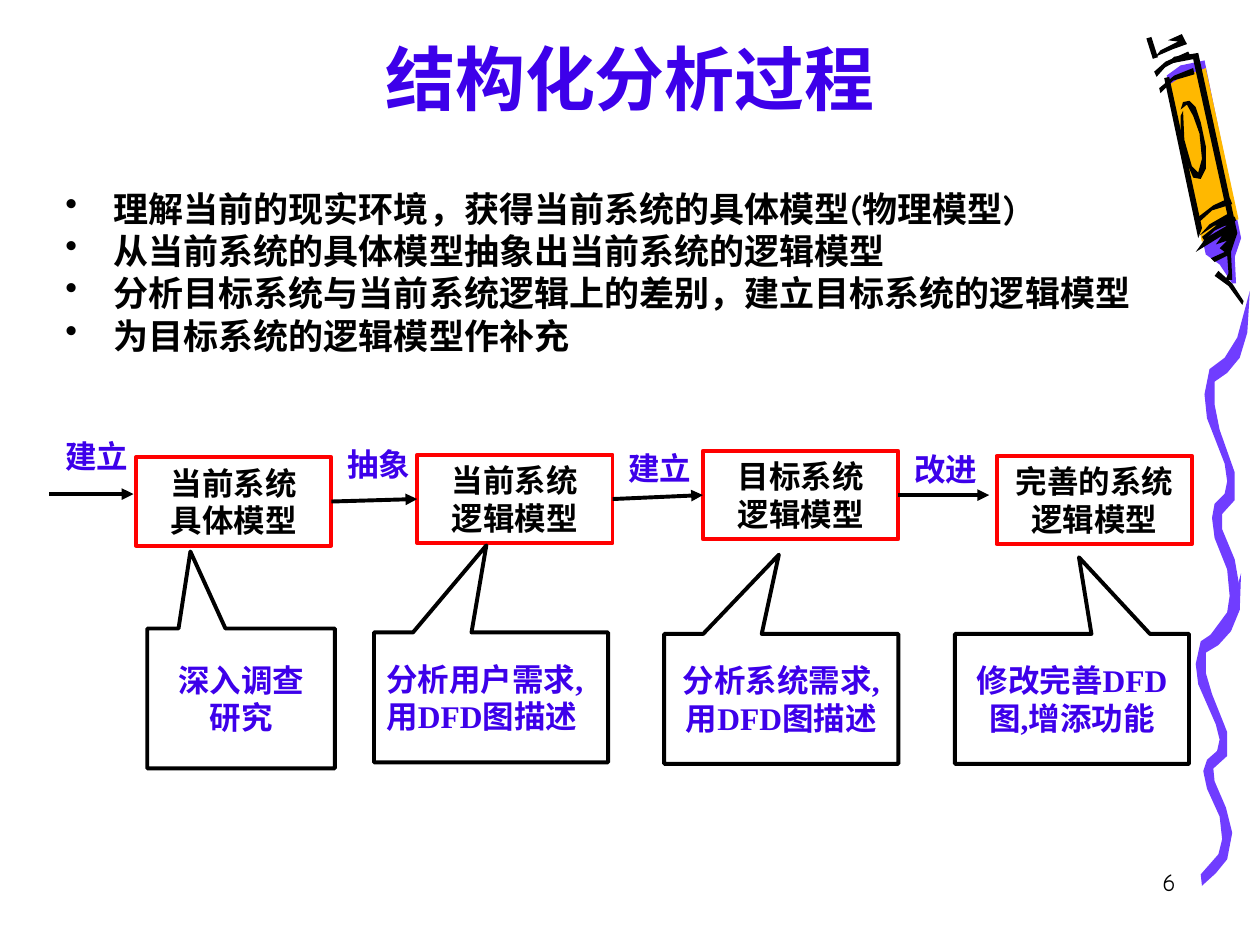
from typing import NamedTuple, Optional

from lxml.etree import SubElement
from pptx import Presentation
from pptx.dml.color import RGBColor
from pptx.enum.shapes import MSO_CONNECTOR as Connector, MSO_SHAPE as Shape
from pptx.enum.text import MSO_ANCHOR as Anchor, PP_ALIGN as Align
from pptx.oxml.ns import qn
from pptx.util import Cm, Pt

BLACK = RGBColor(0x00, 0x00, 0x00)
WHITE = RGBColor(0xFF, 0xFF, 0xFF)
RED = RGBColor(0xFF, 0x00, 0x00)
BLUE = RGBColor(0x3D, 0x00, 0xEA)
PURPLE = RGBColor(0x70, 0x3D, 0xFF)
ORANGE = RGBColor(0xFF, 0xB8, 0x00)
HEADING_FONT = "Comic Neue"
DIAGRAM_FONT = "Times New Roman"
OUTLINE_UNIT = Cm(2.54) / 100


class Outline(NamedTuple):
    color: RGBColor
    points: str


class Style(NamedTuple):
    size: float
    font: str
    color: RGBColor
    bold: bool = True
    align: Align = Align.CENTER
    anchor: Anchor = Anchor.TOP


class Stage(NamedTuple):
    text: str
    left: float
    top: float


class Label(NamedTuple):
    text: str
    left: float
    top: float
    width: float


class Callout(NamedTuple):
    text: str
    left: float
    top: float
    width: float
    height: float
    tip: tuple[float, float]
    align: Align = Align.CENTER


SQUIGGLE = (
    "953,694 967,678 970,666 968,648 958,626 955,612 958,603 966,596 968,587 965,575 951,543 "
    "949,527 953,509 965,501 976,487 985,455 984,484 977,501 967,512 957,518 957,534 962,551 "
    "974,581 974,600 963,610 964,620 973,641 978,661 974,682 965,693 954,703"
)
CRAYON = [
    Outline(WHITE, "950,44 930,47 919,57 949,197 962,207 972,220 976,219 975,198 979,185"),
    Outline(PURPLE, "926,60 957,202 968,210 978,225 981,225 980,204 985,189 956,48 937,52"),
    Outline(ORANGE, "954,192 968,179 983,174 957,54 936,62 927,68"),
    Outline(BLACK, "964,219 975,227 986,242 987,239 978,225 967,215"),
    Outline(BLACK, "917,45 931,39 942,35 938,27 927,32 935,33 921,40"),
    Outline(BLACK, "937,92 937,106 941,127 947,141 953,142 957,134 957,116 953,97 949,85 944,80 "
                   "939,81 937,87 942,83 947,92 952,106 954,126 951,137 946,132 940,111 939,88"),
    Outline(BLACK, "924,62 951,189 954,181 928,61"),
    Outline(BLACK, "949,200 957,189 974,179 964,179 952,187 960,178 974,170 947,47 931,50 920,56 "
                   "932,45 951,42 982,185 977,200 978,222 972,223 975,217 974,203 964,208 961,205 "
                   "972,200 968,197 974,191 965,194 970,187"),
    Outline(BLACK, "956,191 964,183 981,175 980,172 969,176 954,188"),
    Outline(BLACK, "951,177 962,167 978,162 976,157 963,163 950,173"),
    Outline(BLACK, "921,74 931,64 948,59 947,54 932,60 920,70"),
    Outline(BLACK, "918,61 926,52 945,45 943,41 925,49 916,57"),
]
BULLETS = [
    "理解当前的现实环境，获得当前系统的具体模型(物理模型)",
    "从当前系统的具体模型抽象出当前系统的逻辑模型",
    "分析目标系统与当前系统逻辑上的差别，建立目标系统的逻辑模型",
    "为目标系统的逻辑模型作补充",
]
STAGES = [
    Stage("当前系统\n具体模型", 2.74, 9.22),
    Stage("当前系统\n逻辑模型", 8.41, 9.17),
    Stage("目标系统\n逻辑模型", 14.17, 9.09),
    Stage("完善的系统逻辑模型", 20.09, 9.19),
]
LABELS = [
    Label("建立", 0.64, 8.46, 2.62),
    Label("抽象", 6.55, 8.61, 2.18),
    Label("建立", 11.99, 8.69, 2.62),
    Label("改进", 18.01, 8.71, 2.11),
]
CALLOUTS = [
    Callout("深入调查\n研究", 2.97, 12.67, 3.78, 2.82, (-0.27, -1.05)),
    Callout("分析用户需求,用DFD图描述", 7.54, 12.75, 4.72, 2.62, (-0.02, -1.17), Align.LEFT),
    Callout("分析系统需求,用DFD图描述", 13.39, 12.78, 4.72, 2.62, (-0.01, -1.11)),
    Callout("修改完善DFD图,增添功能", 19.25, 12.78, 4.72, 2.62, (0.03, -1.09)),
]


def parse_points(text: str) -> list[tuple[float, float]]:
    return [tuple(map(float, pair.split(","))) for pair in text.split()]


def draw_outline(slide, points: list[tuple[float, float]], color: RGBColor) -> None:
    builder = slide.shapes.build_freeform(*points[0], scale=OUTLINE_UNIT)
    builder.add_line_segments(points[1:], close=True)
    shape = builder.convert_to_shape()
    shape.shadow.inherit = False
    shape.fill.solid()
    shape.fill.fore_color.rgb = color
    shape.line.fill.background()


def write_text(shape, text: str, style: Style) -> None:
    frame = shape.text_frame
    frame.word_wrap = True
    frame.vertical_anchor = style.anchor
    frame.text = text
    for paragraph in frame.paragraphs:
        paragraph.alignment = style.align
        for run in paragraph.runs:
            run.font.size = Pt(style.size)
            run.font.name = style.font
            run.font.bold = style.bold
            run.font.color.rgb = style.color


def add_text(slide, box: tuple[float, float, float, float], text: str, style: Style):
    shape = slide.shapes.add_textbox(*map(Cm, box))
    write_text(shape, text, style)
    return shape


def add_bullets(slide) -> None:
    style = Style(20, HEADING_FONT, BLACK, align=Align.LEFT)
    shape = add_text(slide, (1.07, 3.81, 22.02, 4.24), "\n".join(BULLETS), style)
    for index, paragraph in enumerate(shape.text_frame.paragraphs):
        paragraph.line_spacing = 0.8
        paragraph.space_before = Pt(5 if index else 0)
        properties = paragraph._p.get_or_add_pPr()
        properties.set("marL", str(Cm(0.97)))
        properties.set("indent", str(-Cm(0.97)))
        SubElement(properties, qn("a:buChar")).set("char", "•")


def add_frame(slide, kind: Shape, box: tuple[float, float, float, float],
              border: RGBColor, text: str, style: Style):
    shape = slide.shapes.add_shape(kind, *map(Cm, box))
    shape.shadow.inherit = False
    shape.fill.background()
    shape.line.color.rgb = border
    shape.line.width = Pt(2.25)
    write_text(shape, text, style)
    return shape


def add_line(slide, start: tuple[float, float], end: tuple[float, float],
             width: float = 2.25, arrow: bool = True, source=None, target: Optional[object] = None):
    line = slide.shapes.add_connector(Connector.STRAIGHT, *map(Cm, start + end))
    line.line.color.rgb = BLACK
    line.line.width = Pt(width)
    if arrow:
        SubElement(line.line._get_or_add_ln(), qn("a:tailEnd")).set("type", "triangle")
    SubElement(line._element.spPr, qn("a:effectLst"))
    if source is not None:
        line.begin_connect(source, 3)
    if target is not None:
        line.end_connect(target, 1)


def draw_decoration(slide) -> None:
    lower = parse_points(SQUIGGLE)
    upper = [(x + 6.5, 231 + (y - 455) * 284 / 248) for x, y in lower]
    for points in (lower, upper):
        draw_outline(slide, points, PURPLE)
    for outline in CRAYON:
        draw_outline(slide, parse_points(outline.points), outline.color)
    add_line(slide, (23.16, 0.76), (23.29, 1.17), width=3, arrow=False)


def draw_process(slide) -> None:
    stage_style = Style(18, DIAGRAM_FONT, BLACK)
    boxes = [add_frame(slide, Shape.RECTANGLE, (stage.left, stage.top, 3.94, 1.78),
                       RED, stage.text, stage_style) for stage in STAGES]
    add_line(slide, (0.99, 9.96), (2.69, 9.96))
    for source, target in zip(boxes[:2], boxes[1:3]):
        add_line(slide, (0, 0), (0, 0), source=source, target=target)
    add_line(slide, (18.11, 9.98), (19.94, 9.98), source=boxes[2])
    for label in LABELS:
        shape = add_text(slide, (label.left, label.top, label.width, 1.24), label.text,
                         Style(18, DIAGRAM_FONT, BLUE))
        shape.text_frame.paragraphs[0].line_spacing = 1.3
    for callout in CALLOUTS:
        style = Style(18, DIAGRAM_FONT, BLUE, align=callout.align, anchor=Anchor.MIDDLE)
        box = (callout.left, callout.top, callout.width, callout.height)
        shape = add_frame(slide, Shape.RECTANGULAR_CALLOUT, box, BLACK, callout.text, style)
        shape.adjustments[0], shape.adjustments[1] = callout.tip


def main() -> None:
    presentation = Presentation()
    presentation.slide_width, presentation.slide_height = Cm(25.4), Cm(19.05)
    slide = presentation.slides.add_slide(presentation.slide_layouts[6])
    draw_decoration(slide)
    add_text(slide, (18.67, 17.35, 5.28, 1.27), "6",
             Style(14, HEADING_FONT, BLACK, bold=False, align=Align.RIGHT))
    add_text(slide, (1.27, 0.43, 22.86, 2.11), "结构化分析过程",
             Style(40, HEADING_FONT, BLUE, anchor=Anchor.BOTTOM))
    add_bullets(slide)
    draw_process(slide)
    presentation.save("out.pptx")


if __name__ == "__main__":
    main()
